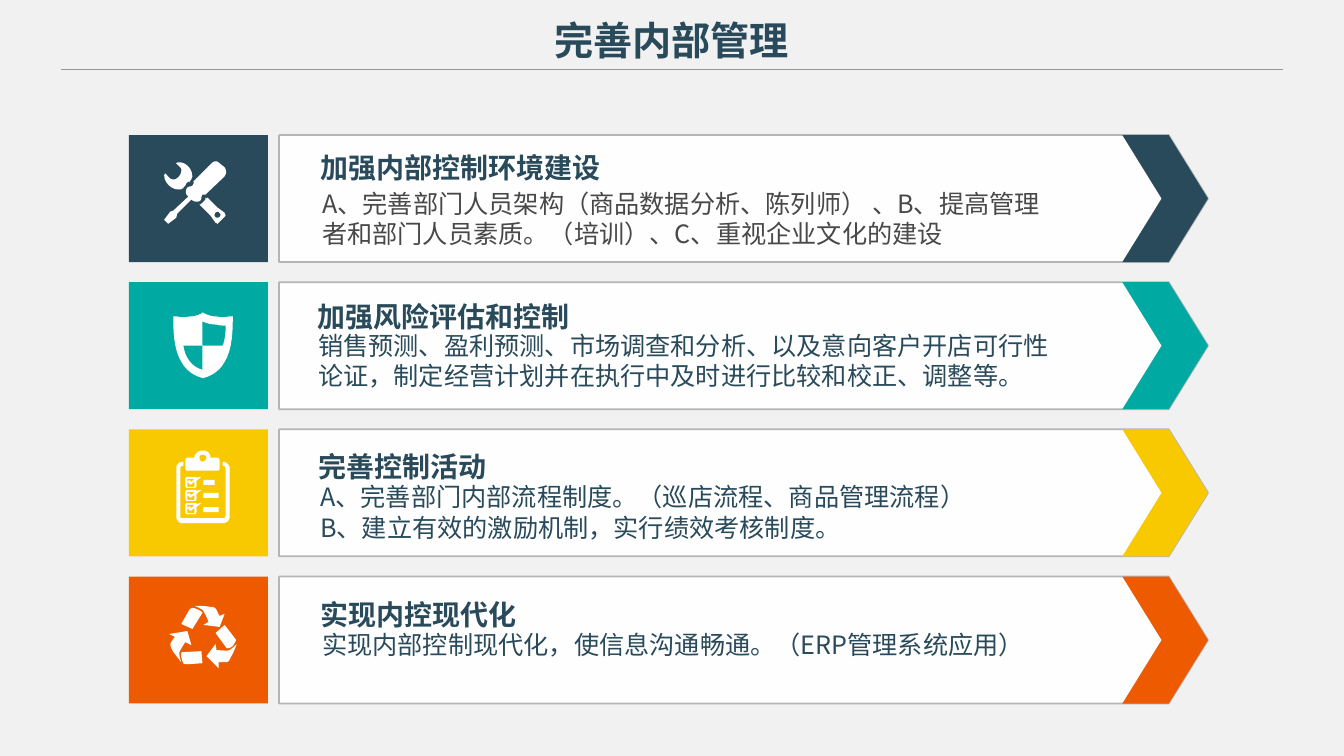
from dataclasses import dataclass

from lxml import etree
from pptx import Presentation
from pptx.dml.color import RGBColor
from pptx.enum.shapes import MSO_CONNECTOR, MSO_SHAPE
from pptx.enum.text import MSO_ANCHOR, PP_ALIGN
from pptx.oxml.ns import qn
from pptx.shapes.autoshape import Shape
from pptx.slide import Slide
from pptx.text.text import TextFrame
from pptx.util import Inches, Pt

STRAIGHT = MSO_CONNECTOR.STRAIGHT
RECTANGLE = MSO_SHAPE.RECTANGLE
TOP = MSO_ANCHOR.TOP
CENTER, LEFT = PP_ALIGN.CENTER, PP_ALIGN.LEFT

Point = tuple[float, float]


@dataclass(frozen=True)
class Theme:
    font: str = "Noto Sans CJK SC"
    background: str = "F1F1F1"
    navy: str = "294A5A"
    teal: str = "00AAA2"
    yellow: str = "F9C900"
    orange: str = "ED5A00"
    gray: str = "484849"
    rule: str = "969696"
    panel: str = "FEFEFE"
    panel_edge: str = "B4B5B5"
    icon: str = "FFFFFF"
    title_size: int = 28
    heading_size: int = 20
    body_size: int = 18


@dataclass(frozen=True)
class Label:
    lines: tuple[str, ...]
    left: float
    top: float
    width: float
    height: float
    size: int
    color: str
    bold: bool = False
    align: PP_ALIGN = LEFT


@dataclass(frozen=True)
class Part:
    """Icon outline in hundredths of an inch from the tile corner, repeated downwards."""
    outline: str
    offsets: tuple[int, ...] = (0,)


@dataclass(frozen=True)
class Row:
    color: str
    icon: tuple[Part, ...]
    heading: Label
    body: Label


THEME = Theme()
FIRST_TOP, ROW_STEP, ROW_HEIGHT = 1.34, 1.46, 1.26
TILE_LEFT, TILE_WIDTH = 1.28, 1.38
PANEL_LEFT, ARROW_LEFT, SHOULDER, TIP, NOTCH = 2.77, 11.14, 11.6, 11.99, 11.53
CURVE_STEPS = 6

TOOLS = (
    Part("M 88 76 C 89 76 91 78 91 79 C 91 81 89 82 88 82 C 86 82 85 81 85 79 C 85 78 86 76 88 76"),
    Part("M 95 32 L 90 28 C 89 27 88 26 86 26 C 85 26 83 27 82 28 L 64 46 C 65 47 64 49 63 50 "
         "C 62 51 61 51 60 51 L 58 52 C 56 55 56 58 58 60 L 59 61 44 75 41 76 35 84 39 88 47 82 "
         "48 78 62 64 C 64 66 68 67 71 65 L 72 63 C 72 62 72 60 73 59 C 74 59 75 59 76 59 "
         "L 95 41 C 97 38 97 35 95 32"),
    Part("M 57 48 L 59 46 61 47 60 46 62 44 C 62 43 63 42 63 41 C 63 33 56 26 48 27 L 47 28 "
         "C 53 34 52 33 52 36 C 52 39 48 44 45 44 C 41 44 42 44 36 38 L 35 40 C 35 47 42 54 49 54 "
         "C 51 54 52 54 53 53 L 54 53 C 54 52 55 51 56 50"),
    Part("M 76 62 L 76 64 73 67 C 72 68 71 69 70 69 L 81 80 86 87 88 88 96 80 95 77 88 72 78 62 77 63"),
)
SHIELD = (
    Part("M 48 34 C 52 35 55 35 60 34 C 64 34 68 33 72 31 L 73 30 75 31 C 79 33 83 34 87 34 "
         "C 91 35 95 35 99 34 L 103 34 103 39 C 103 58 100 71 95 79 C 90 88 82 93 74 95 L 73 95 "
         "C 65 93 57 88 52 79 C 47 71 44 58 44 39 L 44 34"),
    Part("M 73 63 L 93 63 C 95 58 96 51 96 43 C 93 43 90 43 87 42 C 82 42 78 41 73 39"),
    Part("M 73 87 L 73 63 54 63 C 55 68 56 72 58 75 C 62 82 67 85 73 87"),
)
CLIPBOARD = (
    Part("M 51 39 C 51 37 52 36 54 36 L 54 32 C 50 32 47 35 47 38 L 47 87 C 47 90 50 93 53 93 "
         "L 94 93 C 97 93 100 90 100 87 L 100 38 C 100 35 96 32 93 32 L 93 36 C 95 36 96 37 96 39 "
         "L 96 85 C 96 87 95 88 94 88 L 53 88 C 51 88 51 87 51 85"),
    Part("M 70 28 C 70 26 71 25 73 25 C 75 25 77 26 77 28 C 77 30 75 32 73 32 C 71 32 70 30 70 28"),
    Part("M 65 28 L 59 28 C 57 28 56 29 56 31 L 56 39 C 56 40 57 41 58 41 L 88 41 "
         "C 89 41 90 40 90 39 L 90 31 C 90 29 89 28 87 28 L 81 28 C 81 24 78 21 74 21 L 73 21 "
         "C 69 21 65 24 65 28"),
    Part("M 67 48 C 67 47 66 47 65 47 L 58 47 C 57 47 56 48 56 49 L 56 56 C 56 57 57 58 58 58 "
         "L 65 58 C 68 58 67 54 67 51 L 72 47 71 47", (0, 13, 26)),
    Part("M 58 49 L 65 49 62 52 60 50 58 52 61 55 65 52 65 57 58 57", (0, 13, 26)),
    Part("M 74 50 L 85 50 85 55 74 55"),
    Part("M 74 50 L 89 50 89 55 74 55", (13, 27)),
)
RECYCLING = (
    Part("M 50 76 C 50 74 54 68 56 65 L 62 68 58 54 40 57 46 60 C 44 61 43 64 42 65 "
         "C 40 68 42 70 43 73 C 44 75 52 85 52 85 C 52 85 50 80 50 76"),
    Part("M 72 74 L 53 75 C 53 75 51 75 52 80 C 53 84 54 86 54 86 C 54 86 54 87 58 87 L 73 86"),
    Part("M 73 33 C 75 35 78 42 79 45 L 74 48 90 50 95 37 90 39 C 89 38 88 35 87 33 "
         "C 85 30 83 30 80 30 C 77 29 65 29 65 29 C 65 29 70 31 73 33"),
    Part("M 63 52 L 73 36 C 73 36 73 35 69 33 C 65 31 63 31 63 31 C 63 31 62 31 60 33 L 52 47"),
    Part("M 100 73 C 98 74 91 73 87 73 L 86 67 77 79 89 91 89 85 L 96 85 C 99 85 100 83 101 80 "
         "C 103 78 107 67 107 67 C 107 67 103 71 100 73"),
    Part("M 86 56 L 97 71 C 97 71 99 72 103 69 C 105 66 106 64 106 64 C 106 64 107 63 105 61 L 95 48"),
)


def heading(text: str, left: float, top: float, width: float) -> Label:
    return Label((text,), left, top, width, 0.44, THEME.heading_size, THEME.navy, bold=True)


def body(lines: tuple[str, ...], left: float, top: float, width: float,
         height: float = 0.71, color: str = THEME.navy) -> Label:
    return Label(lines, left, top, width, height, THEME.body_size, color)


TITLE = Label(("完善内部管理",), 3.87, 0.11, 5.59, 0.57, THEME.title_size, THEME.navy, True, CENTER)
ROWS = (
    Row(THEME.navy, TOOLS, heading("加强内部控制环境建设", 3.08, 1.44, 4.38),
        body(("A、完善部门人员架构（商品数据分析、陈列师） 、B、提高管理者和部门人员素质。（培训）、C、重视企业文化的建设",),
             3.1, 1.82, 7.52, color=THEME.gray)),
    Row(THEME.teal, SHIELD, heading("加强风险评估和控制", 3.05, 2.92, 3.78),
        body(("销售预测、盈利预测、市场调查和分析、以及意向客户开店可行性论证，制定经营计划并在执行中及时进行比较和校正、调整等。",),
             3.06, 3.23, 7.62)),
    Row(THEME.yellow, CLIPBOARD, heading("完善控制活动", 3.06, 4.41, 1.93),
        body(("A、完善部门内部流程制度。（巡店流程、商品管理流程）", "B、建立有效的激励机制，实行绩效考核制度。"),
             3.08, 4.73, 7.68)),
    Row(THEME.orange, RECYCLING, heading("实现内控现代化", 3.08, 5.88, 3.9),
        body(("实现内部控制现代化，使信息沟通畅通。（ERP管理系统应用）",), 3.1, 6.19, 8, 0.4)),
)


def trace(outline: str, left: float, top: float) -> list[Point]:
    """Turn an M/L/C outline into points on the slide, sampling its curves."""
    points: list[Point] = []
    for segment in outline.replace("L", "|L").replace("C", "|C").split("|"):
        command, *numbers = segment.split()
        values = [int(number) / 100 for number in numbers]
        ends = [(left + x, top + y) for x, y in zip(values[::2], values[1::2])]
        if command == "C":
            controls = [points[-1], *ends]
            for step in range(1, CURVE_STEPS + 1):
                t = step / CURVE_STEPS
                weights = ((1 - t) ** 3, 3 * t * (1 - t) ** 2, 3 * t * t * (1 - t), t ** 3)
                points.append((sum(w * p[0] for w, p in zip(weights, controls)),
                               sum(w * p[1] for w, p in zip(weights, controls))))
        else:
            points.extend(ends)
    return points


def paint(shape: Shape, fill: str, edge: str | None = None) -> None:
    shape.shadow.inherit = False
    shape.fill.solid()
    shape.fill.fore_color.rgb = RGBColor.from_string(fill)
    if edge:
        shape.line.color.rgb = RGBColor.from_string(edge)
        shape.line.width = Pt(1.25)
    else:
        shape.line.fill.background()


def add_outline(slide: Slide, contours: list[list[Point]], fill: str, edge: str | None = None) -> None:
    scaled = [[(Inches(x), Inches(y)) for x, y in contour] for contour in contours]
    builder = slide.shapes.build_freeform(*scaled[0][0])
    for index, contour in enumerate(scaled):
        if index:
            builder.move_to(*contour[0])
        builder.add_line_segments(contour[1:], close=True)
    paint(builder.convert_to_shape(), fill, edge)


def write_label(frame: TextFrame, label: Label) -> None:
    frame.word_wrap = True
    frame.vertical_anchor = TOP
    for index, line in enumerate(label.lines):
        para = frame.add_paragraph() if index else frame.paragraphs[0]
        para.text = line
        para.alignment = label.align
        para.font.name = THEME.font
        para.font.size = Pt(label.size)
        para.font.bold = label.bold
        para.font.color.rgb = RGBColor.from_string(label.color)


def add_label(slide: Slide, label: Label) -> None:
    box = slide.shapes.add_textbox(*map(Inches, (label.left, label.top, label.width, label.height)))
    write_label(box.text_frame, label)


def add_title(slide: Slide) -> None:
    title = slide.shapes.title
    title.left, title.top = Inches(TITLE.left), Inches(TITLE.top)
    title.width, title.height = Inches(TITLE.width), Inches(TITLE.height)
    write_label(title.text_frame, TITLE)
    rule = slide.shapes.add_connector(STRAIGHT, Inches(0.61), Inches(0.69), Inches(12.73), Inches(0.69))
    rule.line.color.rgb = RGBColor.from_string(THEME.rule)
    rule.line.width = Pt(0.75)
    etree.SubElement(rule._element.spPr, qn("a:effectLst"))


def add_row(slide: Slide, row: Row, top: float) -> None:
    middle, bottom = top + ROW_HEIGHT / 2, top + ROW_HEIGHT
    point = [(SHOULDER, top), (TIP, middle), (SHOULDER, bottom)]
    add_outline(slide, [[(PANEL_LEFT, top), *point, (PANEL_LEFT, bottom)]], THEME.panel, THEME.panel_edge)
    add_outline(slide, [[(ARROW_LEFT, top), *point, (ARROW_LEFT, bottom), (NOTCH, middle)]], row.color)
    tile = slide.shapes.add_shape(
        RECTANGLE, Inches(TILE_LEFT), Inches(top), Inches(TILE_WIDTH), Inches(ROW_HEIGHT))
    paint(tile, row.color)
    contours = [trace(part.outline, TILE_LEFT, top + offset / 100)
                for part in row.icon for offset in part.offsets]
    add_outline(slide, contours, THEME.icon)
    add_label(slide, row.heading)
    add_label(slide, row.body)


def main() -> None:
    deck = Presentation()
    deck.slide_width, deck.slide_height = Inches(13.34), Inches(7.5)
    slide = deck.slides.add_slide(deck.slide_layouts[5])
    slide.background.fill.solid()
    slide.background.fill.fore_color.rgb = RGBColor.from_string(THEME.background)
    add_title(slide)
    for index, row in enumerate(ROWS):
        add_row(slide, row, FIRST_TOP + index * ROW_STEP)
    deck.save("out.pptx")


if __name__ == "__main__":
    main()
